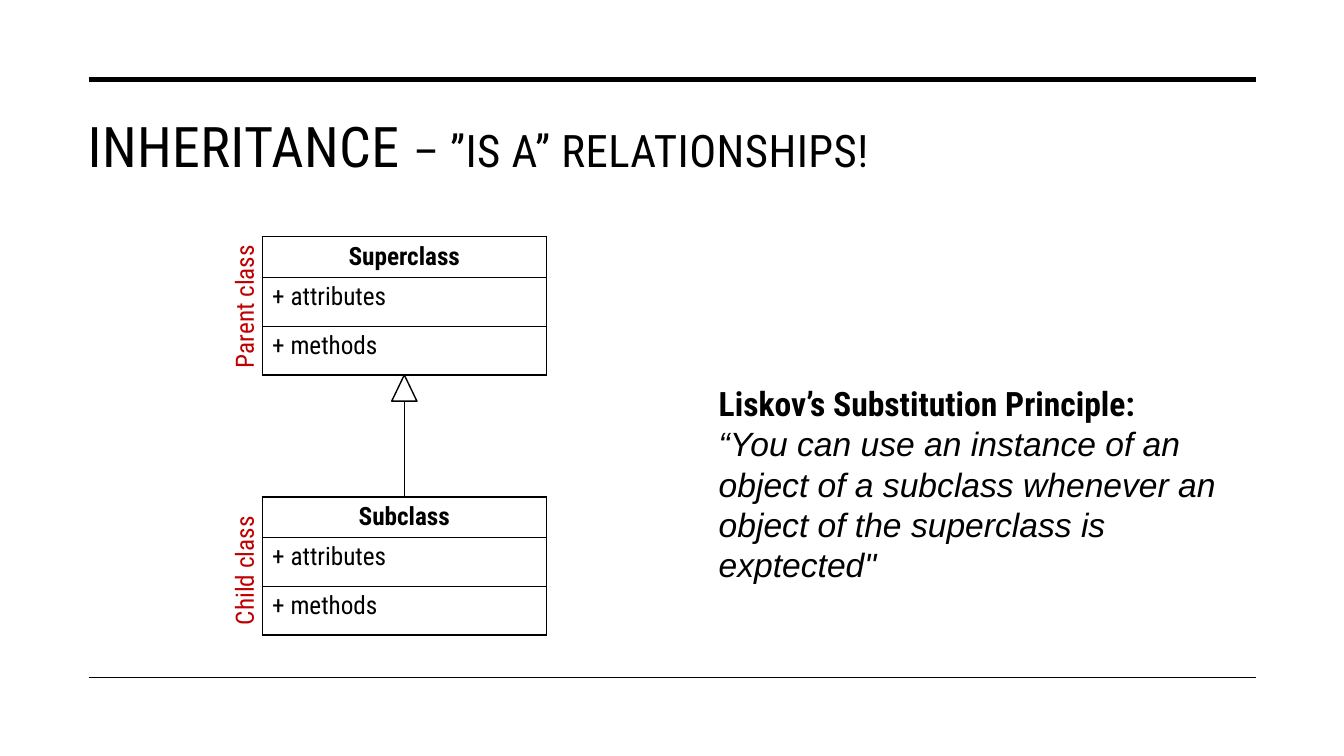
import pptx
import pptx.dml.color
import pptx.enum.shapes
import pptx.enum.text
import pptx.oxml
import pptx.oxml.ns
import pptx.util
from pptx.util import Inches

FONT = "Roboto Condensed"
BLACK, RED = "000000", "C00000"
DIAGRAM_LEFT, DIAGRAM_WIDTH = 2.6, 2.82
ROW_HEIGHTS = (0.4, 0.49, 0.48)
PARENT_TOP, CHILD_TOP = 2.35, 4.93


def color(hex_value):
    return pptx.dml.color.RGBColor.from_string(hex_value)


def add_run(p, text, size, font=FONT, fill=BLACK, bold=False, italic=False):
    r = p.add_run()
    r.text = text
    r.font.name, r.font.size = font, pptx.util.Pt(size)
    r.font.bold, r.font.italic = bold, italic
    r.font.color.rgb = color(fill)
    return r


def add_line(s, x1, y1, x2, y2, width=1):
    line = s.shapes.add_connector(
        pptx.enum.shapes.MSO_CONNECTOR.STRAIGHT,
        Inches(x1), Inches(y1), Inches(x2), Inches(y2))
    line.line.color.rgb = color(BLACK)
    line.line.width = pptx.util.Pt(width)
    line._element.spPr.append(pptx.oxml.parse_xml(
        f'<a:effectLst {pptx.oxml.ns.nsdecls("a")}/>'))


def add_text_box(s, left, top, width, height):
    box = s.shapes.add_textbox(
        Inches(left), Inches(top), Inches(width), Inches(height))
    box.text_frame.word_wrap = True
    return box


def set_title(s):
    title = s.shapes.title
    title.left, title.top = Inches(0.77), Inches(1.01)
    title.width, title.height = Inches(11.69), Inches(1.5)
    tf = title.text_frame
    tf.auto_size = pptx.enum.text.MSO_AUTO_SIZE.NONE
    tf.vertical_anchor = pptx.enum.text.MSO_ANCHOR.TOP
    tf.margin_top = Inches(0.1)
    p = tf.paragraphs[0]
    p.alignment = pptx.enum.text.PP_ALIGN.LEFT
    for text, size in (("INHERITANCE ", 40), ("– ”IS A” RELATIONSHIPS!", 32)):
        r = add_run(p, text, size)
        r.font._element.set("spc", "30")


def set_borders(cell):
    """Draw a thin black line on all four sides of a table cell."""
    tc_pr = cell._tc.get_or_add_tcPr()
    for index, side in enumerate(("lnL", "lnR", "lnT", "lnB")):
        tc_pr.insert(index, pptx.oxml.parse_xml(
            f'<a:{side} {pptx.oxml.ns.nsdecls("a")} w="12700"><a:solidFill>'
            f'<a:srgbClr val="{BLACK}"/></a:solidFill></a:{side}>'))


def add_class_table(s, name, top):
    table = s.shapes.add_table(
        len(ROW_HEIGHTS), 1, Inches(DIAGRAM_LEFT), Inches(top),
        Inches(DIAGRAM_WIDTH), Inches(sum(ROW_HEIGHTS))).table
    table.first_row = table.horz_banding = False
    for i, text in enumerate((name, "+ attributes", "+ methods")):
        table.rows[i].height = Inches(ROW_HEIGHTS[i])
        cell = table.cell(i, 0)
        cell.fill.background()
        set_borders(cell)
        p = cell.text_frame.paragraphs[0]
        if i == 0:
            p.alignment = pptx.enum.text.PP_ALIGN.CENTER
        add_run(p, text, 18, bold=i == 0)


def add_inheritance_arrow(s):
    center = DIAGRAM_LEFT + DIAGRAM_WIDTH / 2
    top, width, height = PARENT_TOP + sum(ROW_HEIGHTS), 0.25, 0.26
    head = s.shapes.add_shape(
        pptx.enum.shapes.MSO_SHAPE.ISOSCELES_TRIANGLE,
        Inches(center - width / 2), Inches(top), Inches(width), Inches(height))
    head.shadow.inherit = False
    head.fill.background()
    head.line.color.rgb = color(BLACK)
    head.line.width = pptx.util.Pt(1)
    add_line(s, center, top + height, center, CHILD_TOP)


def add_side_label(s, text, top):
    box = add_text_box(s, 1.45, top, 1.94, 0.4)
    box.rotation = 270
    add_run(box.text_frame.paragraphs[0], text, 18, fill=RED)


def add_principle(s):
    tf = add_text_box(s, 7.03, 3.75, 5.28, 1.72).text_frame
    add_run(tf.paragraphs[0], "Liskov’s Substitution Principle:", 24, bold=True)
    add_run(tf.add_paragraph(),
            "“You can use an instance of an object of a subclass whenever "
            "an object of the superclass is exptected\"",
            24, font="Arial", italic=True)


def main():
    prs = pptx.Presentation()
    prs.slide_width, prs.slide_height = Inches(13.33), Inches(7.5)
    s = prs.slides.add_slide(prs.slide_layouts.get_by_name("Title Only"))
    add_line(s, 0.88, 0.79, 12.46, 0.79, width=3.5)
    add_line(s, 0.88, 6.72, 12.46, 6.72)
    set_title(s)
    add_class_table(s, "Superclass", PARENT_TOP)
    add_class_table(s, "Subclass", CHILD_TOP)
    add_inheritance_arrow(s)
    add_principle(s)
    add_side_label(s, "Parent class", 2.58)
    add_side_label(s, "Child class", 5.13)
    prs.save("out.pptx")


if __name__ == "__main__":
    main()
